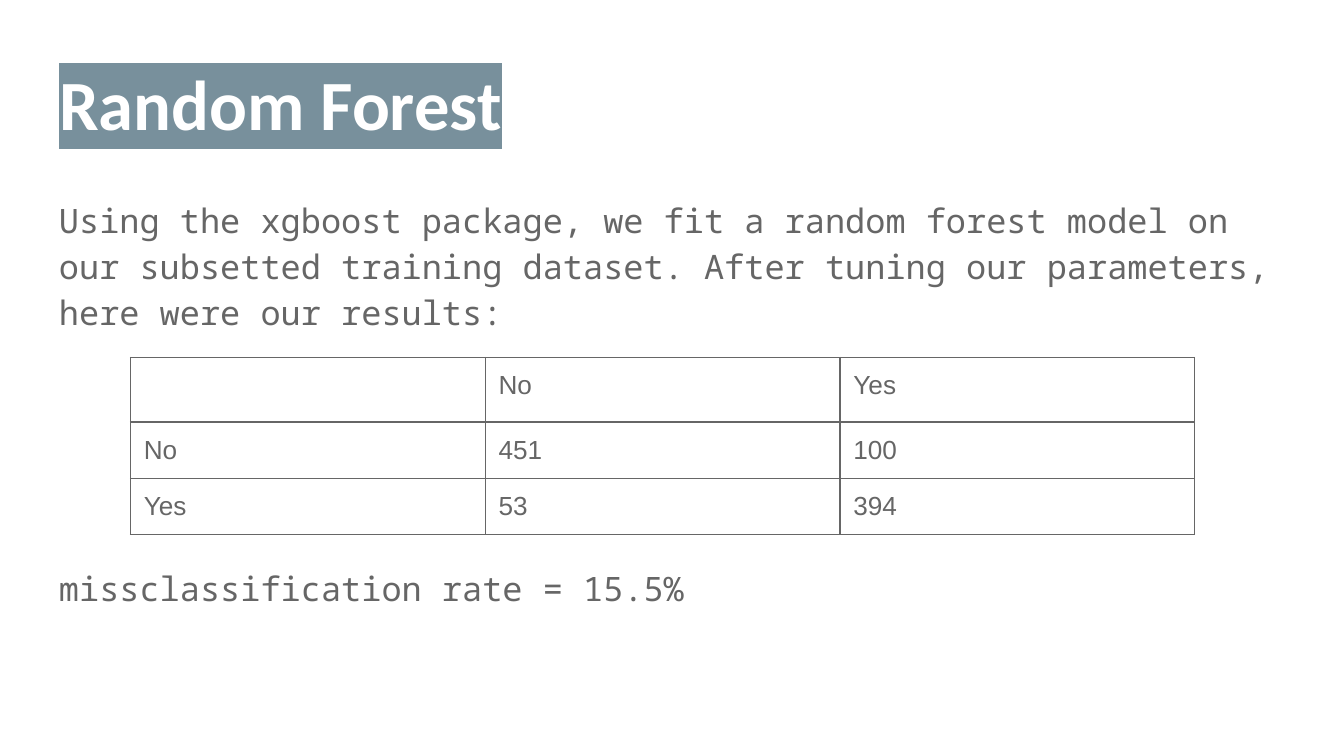
from lxml import etree
from pptx import Presentation
from pptx.dml.color import RGBColor
from pptx.enum.text import MSO_ANCHOR, MSO_AUTO_SIZE, PP_ALIGN
from pptx.oxml.ns import qn
from pptx.util import Inches, Pt

WHITE = RGBColor(0xFF, 0xFF, 0xFF)
SLATE = RGBColor(0x78, 0x90, 0x9C)
GRAY = RGBColor(0x66, 0x66, 0x66)
MIDDLE, LEFT, NO_FIT = MSO_ANCHOR.MIDDLE, PP_ALIGN.LEFT, MSO_AUTO_SIZE.NONE

MARGIN = Inches(0.34)
INSET = Inches(0.1)
TITLE_ONLY = 5

INTRO = (
    "Using the xgboost package, we fit a random forest model on our subsetted "
    "training dataset. After tuning our parameters, here were our results:"
)
RATE = "missclassification rate = 15.5%"
CONFUSION = [["", "No", "Yes"], ["No", "451", "100"], ["Yes", "53", "394"]]
TABLE_GAP = Pt(123)


def style_paragraph(p, font, size, color, bold=False):
    p.alignment = LEFT
    for r in p.runs:
        r.font.name = font
        r.font.size = Pt(size)
        r.font.bold = bold
        r.font.color.rgb = color


def set_insets(tf):
    tf.margin_left = tf.margin_right = INSET
    tf.margin_top = tf.margin_bottom = INSET
    tf.word_wrap = True
    tf.auto_size = NO_FIT


def highlight(r, color):
    mark = etree.Element(qn("a:highlight"))
    etree.SubElement(mark, qn("a:srgbClr"), val=str(color))
    r.font._element.find(qn("a:solidFill")).addnext(mark)


def add_title(prs, s, text):
    sp = s.shapes.title
    sp.left, sp.top = MARGIN, Inches(0.32)
    sp.width, sp.height = prs.slide_width - 2 * MARGIN, Inches(0.88)
    tf = sp.text_frame
    tf.text = text
    set_insets(tf)
    tf.vertical_anchor = MIDDLE
    p = tf.paragraphs[0]
    p.line_spacing = 1
    p.space_before = Pt(0)
    style_paragraph(p, "Calibri", 37.8, WHITE, bold=True)
    highlight(p.runs[0], SLATE)


def add_body(prs, s, texts, gap):
    width = prs.slide_width - 2 * MARGIN
    tf = s.shapes.add_textbox(MARGIN, Inches(1.34), width, Inches(3.65)).text_frame
    tf.text = "\n".join(texts)
    set_insets(tf)
    for p in tf.paragraphs:
        p.line_spacing = 1.15
        style_paragraph(p, "Noto Sans Mono", 18, GRAY)
    for p in tf.paragraphs[1:]:
        p.space_before = gap


def add_borders(cell, color, width):
    tc_pr = cell._tc.get_or_add_tcPr()
    for side in ("lnL", "lnR", "lnT", "lnB"):
        ln = etree.SubElement(tc_pr, qn(f"a:{side}"), w=str(width))
        fill = etree.SubElement(ln, qn("a:solidFill"))
        etree.SubElement(fill, qn("a:srgbClr"), val=str(color))


def add_matrix(s, rows):
    col_width, row_height, header_height = Inches(2.64), Inches(0.42), Inches(0.48)
    n_rows, n_cols = len(rows), len(rows[0])
    table = s.shapes.add_table(
        n_rows, n_cols, Inches(0.97), Inches(2.66),
        n_cols * col_width, header_height + (n_rows - 1) * row_height,
    ).table
    table.first_row = table.horz_banding = False
    for col in table.columns:
        col.width = col_width
    for i, values in enumerate(rows):
        table.rows[i].height = row_height if i else header_height
        for j, value in enumerate(values):
            cell = table.cell(i, j)
            cell.text = value
            cell.margin_left = cell.margin_right = cell.margin_top = INSET
            style_paragraph(cell.text_frame.paragraphs[0], "Arial", 14, GRAY)
            add_borders(cell, GRAY, Pt(0.75))
            cell.fill.background()


def main():
    prs = Presentation()
    prs.slide_width = Inches(10)
    prs.slide_height = prs.slide_width * 9 // 16
    s = prs.slides.add_slide(prs.slide_layouts[TITLE_ONLY])
    add_title(prs, s, "Random Forest")
    add_body(prs, s, [INTRO, RATE], TABLE_GAP)
    add_matrix(s, CONFUSION)
    prs.save("out.pptx")


if __name__ == "__main__":
    main()
